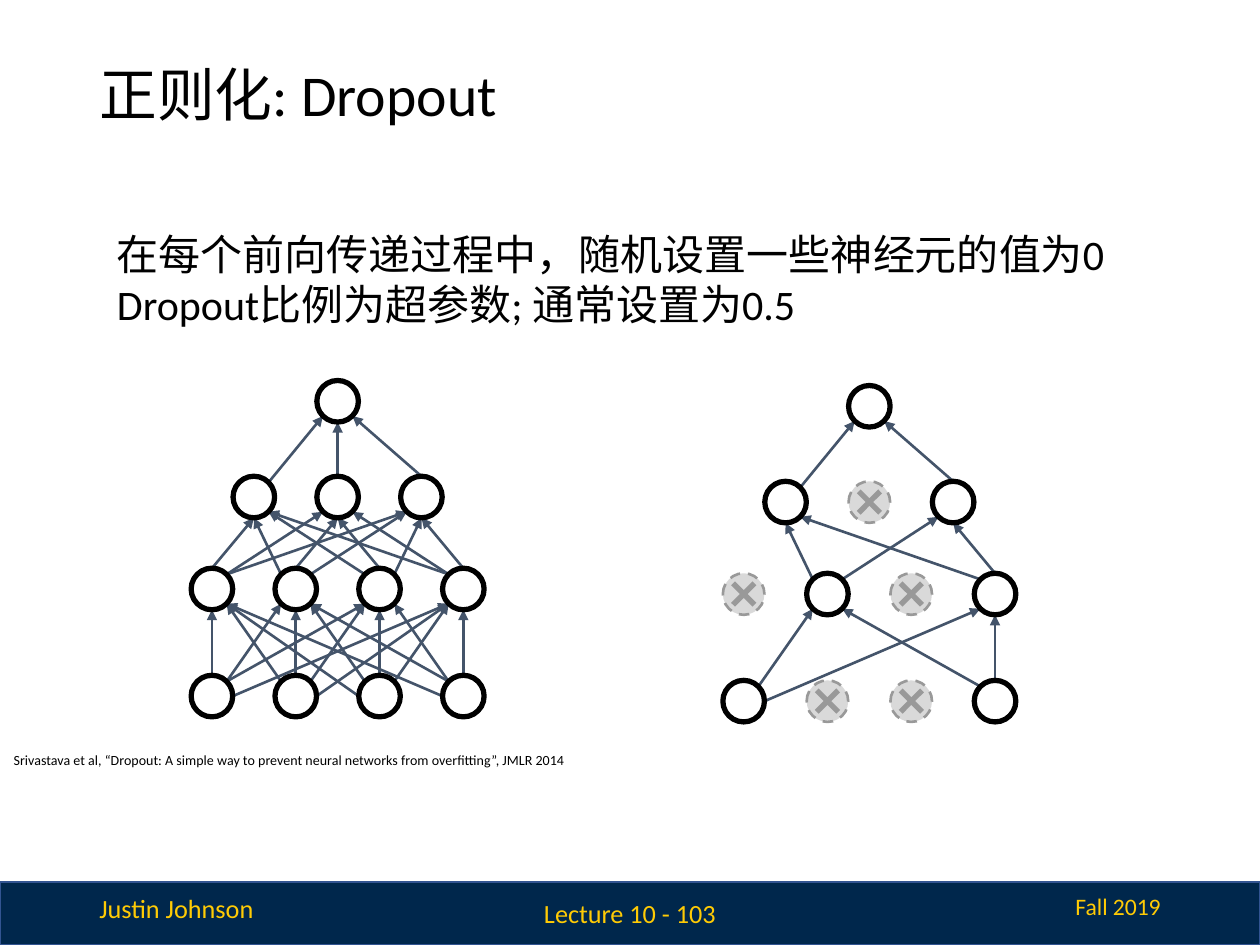
from lxml import etree
from pptx import Presentation
from pptx.dml.color import RGBColor
from pptx.enum.dml import MSO_LINE
from pptx.enum.shapes import MSO_CONNECTOR, MSO_SHAPE
from pptx.enum.text import MSO_ANCHOR, PP_ALIGN
from pptx.oxml.ns import qn
from pptx.util import Inches, Pt

BLACK = RGBColor(0x00, 0x00, 0x00)
NAVY = RGBColor(0x00, 0x27, 0x4C)
BORDER = RGBColor(0x32, 0x54, 0x91)
MAIZE = RGBColor(0xFF, 0xCB, 0x05)
SLATE = RGBColor(0x44, 0x54, 0x6A)
GRAY = RGBColor(0x99, 0x99, 0x99)
LIGHT = RGBColor(0xD9, 0xD9, 0xD9)

prs = Presentation()
prs.slide_width, prs.slide_height = Inches(10), Inches(7.5)
s = prs.slides.add_slide(prs.slide_layouts[6])


def add_text(box, lines, size, color=BLACK, align=PP_ALIGN.LEFT,
             anchor=MSO_ANCHOR.TOP, inset=0.05, spacing=None):
    tf = s.shapes.add_textbox(*[Inches(v) for v in box]).text_frame
    tf.word_wrap = True
    tf.vertical_anchor = anchor
    tf.margin_left = tf.margin_right = Inches(0.1)
    tf.margin_top = tf.margin_bottom = Inches(inset)
    tf.text = "\n".join(lines)
    for p in tf.paragraphs:
        p.alignment = align
        p.line_spacing = spacing
        for r in p.runs:
            r.font.size = Pt(size)
            r.font.name = "Calibri"
            r.font.color.rgb = color


def add_arrow(shapes, x1, y1, x2, y2):
    c = shapes.add_connector(MSO_CONNECTOR.STRAIGHT, Inches(x1), Inches(y1),
                             Inches(x2), Inches(y2))
    c.line.color.rgb = SLATE
    c.line.width = Pt(1.5)
    etree.SubElement(c.line._get_or_add_ln(), qn("a:tailEnd"), type="triangle")
    etree.SubElement(c._element.spPr, qn("a:effectLst"))


# Footer band
sp = s.shapes.add_shape(MSO_SHAPE.RECTANGLE, 0, Inches(7), Inches(10), Inches(0.5))
sp.shadow.inherit = False
sp.fill.solid()
sp.fill.fore_color.rgb = NAVY
sp.line.color.rgb = BORDER
sp.line.width = Pt(1)
add_text((0.69, 7.03, 1.44, 0.35), ["Justin Johnson"], 15, MAIZE)
add_text((7.33, 7.03, 1.98, 0.33), ["Fall 2019"], 13.5, MAIZE, PP_ALIGN.RIGHT)
add_text((3.65, 7.05, 2.7, 0.4), ["Lecture 10 - 103"], 15, MAIZE,
         PP_ALIGN.CENTER, MSO_ANCHOR.MIDDLE)

# Title
add_text((0.69, 0.4, 8.62, 0.75), ["正则化: Dropout"], 33,
         anchor=MSO_ANCHOR.MIDDLE, spacing=0.9)

# Networks: layers run from the bottom up, nodes from left to right
SIZE, PITCH, CROSS = 0.33, 0.665, 0.24
RADIUS = SIZE / 2
DIAG = RADIUS * 0.707
LAYERS = [(4, 5.36), (4, 4.51), (3, 3.78), (1, 3.02)]  # node count, top

# Edges (layer, from, to) that leave a node at its top or side, not diagonally
FROM_TOP = {(1, 0, 0), (1, 1, 1), (1, 2, 1), (1, 3, 2), (2, 2, 0)}
FROM_SIDE = {(0, 0, 3), (0, 3, 0), (0, 1, 3), (0, 2, 0)}

# Centre x, vertical shift, dropped nodes (layer, index)
NETWORKS = [
    (2.68, 0, set()),
    (6.9, 0.04, {(0, 1), (0, 2), (1, 0), (1, 2), (2, 1)}),
]

for mid, shift, dropped in NETWORKS:
    shapes = s.shapes.add_group_shape().shapes
    centers = {(layer, i): (mid + (i - (n - 1) / 2) * PITCH, top + shift + RADIUS)
               for layer, (n, top) in enumerate(LAYERS) for i in range(n)}
    active = [node for node in centers if node not in dropped]

    # Arrows join every active node to every active node one layer up
    for layer, i in active:
        for upper, j in active:
            if upper != layer + 1:
                continue
            x1, y1 = centers[layer, i]
            x2, y2 = centers[upper, j]
            dx = x2 - x1
            side = 1 if dx > 0 else -1
            edge = (layer, i, j)
            if abs(dx) < 0.01 or edge in FROM_TOP:
                y1 -= RADIUS
            elif edge in FROM_SIDE:
                x1 += side * RADIUS
            else:
                x1, y1 = x1 + side * DIAG, y1 - DIAG
            if abs(dx) < PITCH * 0.75:
                y2 += RADIUS
            else:
                x2, y2 = x2 - side * DIAG, y2 + DIAG
            add_arrow(shapes, x1, y1, x2, y2)

    # Neurons
    for node, (x, y) in centers.items():
        sp = shapes.add_shape(MSO_SHAPE.OVAL, Inches(x - RADIUS), Inches(y - RADIUS),
                              Inches(SIZE), Inches(SIZE))
        sp.shadow.inherit = False
        if node not in dropped:
            sp.fill.background()
            sp.line.color.rgb = BLACK
            sp.line.width = Pt(3)
            continue
        sp.fill.solid()
        sp.fill.fore_color.rgb = LIGHT
        sp.line.color.rgb = GRAY
        sp.line.width = Pt(1.5)
        sp.line.dash_style = MSO_LINE.DASH

        # Cross on a dropped neuron
        sp = shapes.add_shape(MSO_SHAPE.CROSS, Inches(x - CROSS / 2),
                              Inches(y - CROSS / 2), Inches(CROSS), Inches(CROSS))
        sp.shadow.inherit = False
        sp.adjustments[0] = 0.41
        sp.rotation = 45
        sp.fill.solid()
        sp.fill.fore_color.rgb = GRAY
        sp.line.fill.background()

# Citation and body text
add_text((0.01, 5.9, 5.32, 0.23),
         ["Srivastava et al, “Dropout: A simple way to prevent neural networks "
          "from overfitting”, JMLR 2014"], 8, inset=0.1)
add_text((0.83, 1.71, 8.35, 1.03),
         ["在每个前向传递过程中，随机设置一些神经元的值为0",
          "Dropout比例为超参数; 通常设置为0.5"], 24, inset=0.1)

prs.save("out.pptx")
